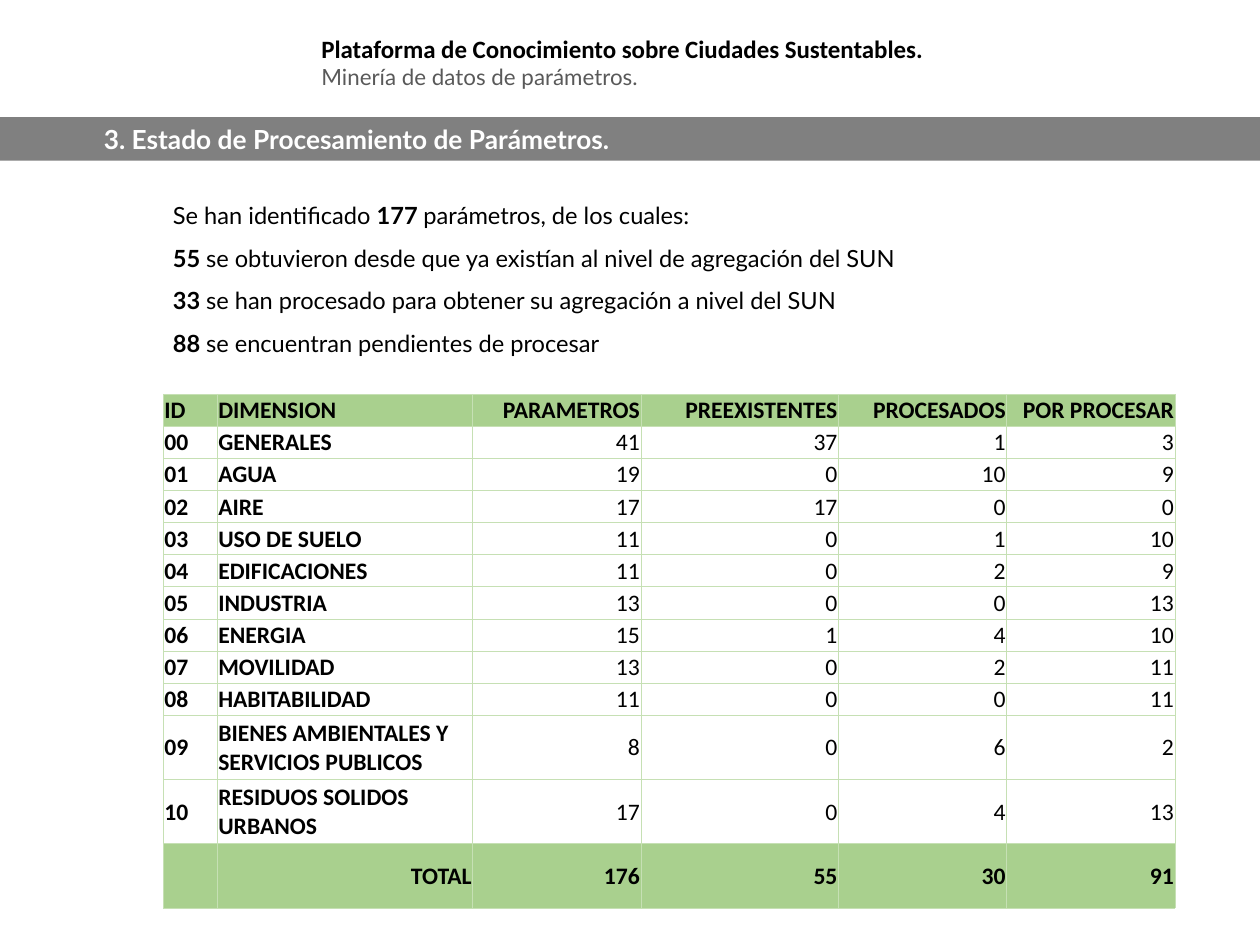
from dataclasses import dataclass

from lxml import etree
from pptx import Presentation
from pptx.dml.color import RGBColor
from pptx.enum.shapes import MSO_CONNECTOR, MSO_SHAPE
from pptx.enum.text import MSO_ANCHOR, MSO_AUTO_SIZE, PP_ALIGN
from pptx.oxml.ns import qn
from pptx.util import Inches, Pt

LEFT, RIGHT, JUSTIFY = PP_ALIGN.LEFT, PP_ALIGN.RIGHT, PP_ALIGN.JUSTIFY
TOP, MIDDLE = MSO_ANCHOR.TOP, MSO_ANCHOR.MIDDLE
GROW, FIXED = MSO_AUTO_SIZE.SHAPE_TO_FIT_TEXT, MSO_AUTO_SIZE.NONE
RECTANGLE, STRAIGHT = MSO_SHAPE.RECTANGLE, MSO_CONNECTOR.STRAIGHT

COLORS = {"black": "000000", "subtitle": "595959", "bar": "808080",
          "white": "FFFFFF", "green": "A9D08E", "border": "C6E0B4"}
SLIDE_W, SLIDE_H = 13.33, 10
BAR_TOP = 1.26


@dataclass
class TextRun:
    text: str
    size: float = 18
    font: str = "Lato"
    color: str = "black"
    bold: bool = False


@dataclass
class Dimension:
    code: str
    name: str
    counts: tuple[int, int, int, int]
    height: float = 0.34


HEADER = [
    [TextRun("Plataforma de Conocimiento sobre Ciudades Sustentables.", 19, "Calibri", bold=True)],
    [TextRun("Minería de datos de parámetros.", 17, color="subtitle")],
]
SECTION = [[TextRun("3. Estado de Procesamiento de Parámetros.", 20, color="white", bold=True)]]
SUMMARY = [
    [TextRun("Se han identificado "), TextRun("177 ", bold=True),
     TextRun("parámetros, de los cuales:")],
] + [
    [TextRun(count, bold=True), TextRun(text)] for count, text in (
        ("55 ", "se obtuvieron desde que ya existían al nivel de agregación del SUN"),
        ("33 ", "se han procesado para obtener su agregación a nivel del SUN"),
        ("88 ", "se encuentran pendientes de procesar"),
    )
]

COLUMNS = {"ID": 0.57, "DIMENSION": 2.7, "PARAMETROS": 1.78,
           "PREEXISTENTES": 2.09, "PROCESADOS": 1.78, "POR PROCESAR": 1.78}
DIMENSIONS = [
    Dimension("00", "GENERALES", (41, 37, 1, 3)),
    Dimension("01", "AGUA", (19, 0, 10, 9)),
    Dimension("02", "AIRE", (17, 17, 0, 0)),
    Dimension("03", "USO DE SUELO", (11, 0, 1, 10)),
    Dimension("04", "EDIFICACIONES", (11, 0, 2, 9)),
    Dimension("05", "INDUSTRIA", (13, 0, 0, 13)),
    Dimension("06", "ENERGIA", (15, 1, 4, 10)),
    Dimension("07", "MOVILIDAD", (13, 0, 2, 11)),
    Dimension("08", "HABITABILIDAD", (11, 0, 0, 11)),
    Dimension("09", "BIENES AMBIENTALES Y SERVICIOS PUBLICOS", (8, 0, 6, 2), 0.68),
    Dimension("10", "RESIDUOS SOLIDOS URBANOS", (17, 0, 4, 13), 0.68),
]
TOTALS = tuple(sum(column) for column in zip(*(d.counts for d in DIMENSIONS)))
TOTAL_ROW = Dimension("", "TOTAL", TOTALS, 0.68)


def rgb(name: str) -> RGBColor:
    return RGBColor.from_string(COLORS[name])


def set_attrs(target, values: dict) -> None:
    for name, value in values.items():
        setattr(target, name, value)


def place(sp, left: float, top: float, width: float, height: float) -> None:
    set_attrs(sp, {"left": Inches(left), "top": Inches(top),
                   "width": Inches(width), "height": Inches(height)})


def add_runs(p, runs: list[TextRun]) -> None:
    for run in runs:
        r = p.add_run()
        r.text = run.text
        set_attrs(r.font, {"size": Pt(run.size), "name": run.font, "bold": run.bold})
        r.font.color.rgb = rgb(run.color)


def write(tf, paragraphs: list[list[TextRun]], frame: dict, para: dict, indent: float = 0) -> None:
    set_attrs(tf, {"word_wrap": True, **frame})
    for i, runs in enumerate(paragraphs):
        p = tf.add_paragraph() if i else tf.paragraphs[0]
        set_attrs(p, {"space_before": Pt(0), **para})
        pPr = p._p.get_or_add_pPr()
        pPr.set("marL", str(Inches(indent)))
        pPr.set("indent", "0")
        etree.SubElement(pPr, qn("a:buNone"))
        add_runs(p, runs)


def add_borders(cell) -> None:
    tcPr = cell._tc.get_or_add_tcPr()
    for side in ("lnL", "lnR", "lnT", "lnB"):
        ln = etree.SubElement(tcPr, qn(f"a:{side}"), w=str(Pt(0.5)))
        fill = etree.SubElement(ln, qn("a:solidFill"))
        etree.SubElement(fill, qn("a:srgbClr"), val=COLORS["border"])


def format_cell(cell, text: str, bold: bool, align, shaded: bool) -> None:
    edge = Inches(0.01)
    set_attrs(cell, {"margin_left": edge, "margin_right": edge, "margin_top": edge,
                     "margin_bottom": 0, "vertical_anchor": MIDDLE})
    add_borders(cell)
    if shaded:
        cell.fill.solid()
        cell.fill.fore_color.rgb = rgb("green")
    else:
        cell.fill.background()
    p = cell.text_frame.paragraphs[0]
    p.alignment = align
    if text:
        add_runs(p, [TextRun(text, font="Calibri", bold=bold)])


def add_dimension_table(s) -> None:
    body = DIMENSIONS + [TOTAL_ROW]
    rows = [list(COLUMNS)] + [[d.code, d.name, *map(str, d.counts)] for d in body]
    heights = [0.34] + [d.height for d in body]
    frame = s.shapes.add_table(len(rows), len(COLUMNS), Inches(1.73), Inches(4.17),
                               Inches(sum(COLUMNS.values())), Inches(sum(heights)))
    table = frame.table
    set_attrs(table, {"first_row": False, "horz_banding": False})
    for column, width in zip(table.columns, COLUMNS.values()):
        column.width = Inches(width)
    last = len(rows) - 1
    for i, (texts, height) in enumerate(zip(rows, heights)):
        table.rows[i].height = Inches(height)
        shaded = i in (0, last)
        for j, text in enumerate(texts):
            align = RIGHT if j > 1 or (i == last and j == 1) else LEFT
            format_cell(table.cell(i, j), text, shaded or j < 2, align, shaded)


def main() -> None:
    prs = Presentation()
    set_attrs(prs, {"slide_width": Inches(SLIDE_W), "slide_height": Inches(SLIDE_H)})
    s = prs.slides.add_slide(prs.slide_layouts[1])

    # Page header
    title = s.shapes.title
    place(title, 3.3, 0.3, 9.8, 0.71)
    write(title.text_frame, HEADER, {"auto_size": GROW, "vertical_anchor": TOP},
          {"alignment": LEFT})

    # Rule and section bar
    rule = s.shapes.add_connector(STRAIGHT, 0, Inches(BAR_TOP), Inches(SLIDE_W), Inches(BAR_TOP))
    rule.line.color.rgb = rgb("bar")
    rule.line.width = Pt(3)
    etree.SubElement(rule._element.spPr, qn("a:effectLst"))
    bar = s.shapes.add_shape(RECTANGLE, 0, Inches(BAR_TOP), Inches(SLIDE_W), Inches(0.44))
    bar.shadow.inherit = False
    bar.fill.solid()
    bar.fill.fore_color.rgb = rgb("bar")
    bar.line.fill.background()
    write(bar.text_frame, SECTION, {"auto_size": GROW, "vertical_anchor": TOP},
          {"alignment": LEFT, "level": 2}, indent=1)

    # Summary list
    summary = s.placeholders[1]
    place(summary, 1.73, 1.93, 9.94, 2.01)
    write(summary.text_frame, SUMMARY, {"auto_size": FIXED, "vertical_anchor": TOP},
          {"alignment": JUSTIFY, "line_spacing": 1.5})

    # Parameters by dimension
    add_dimension_table(s)
    prs.save("out.pptx")


if __name__ == "__main__":
    main()
